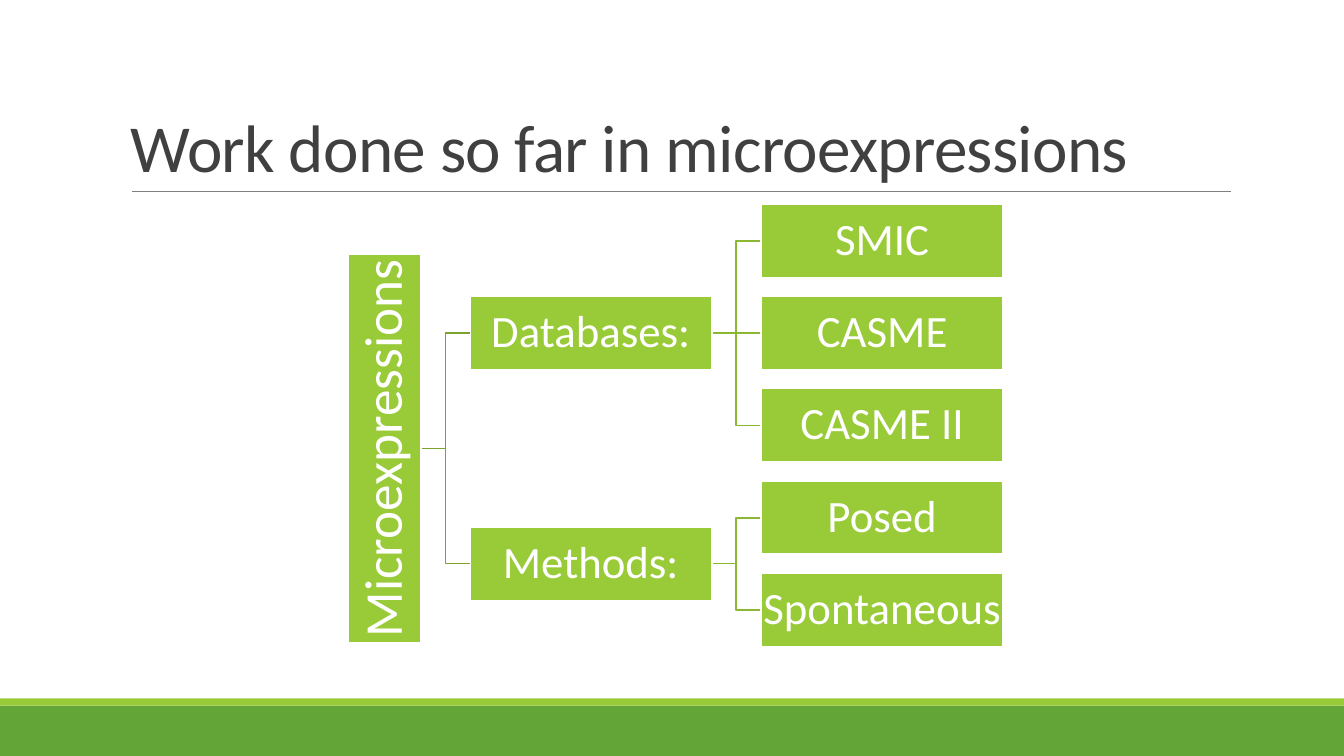
import pptx
import pptx.dml.color
import pptx.enum.shapes
import pptx.enum.text
import pptx.oxml
import pptx.oxml.ns
import pptx.util

PX = 9144
FONT = "Calibri"
COLORS = {
    "band": "63A537",
    "box": "99CB38",
    "rule": "808080",
    "title": "404040",
    "white": "FFFFFF",
    "root_link": "7BA32D",
    "leaf_link": "8BB833",
}
TREE = {
    "Databases:": ["SMIC", "CASME", "CASME II"],
    "Methods:": ["Posed", "Spontaneous"],
}
ROOT_LENGTH, BRANCH_WIDTH, BOX_HEIGHT = 386, 240, 73
ROOT_RIGHT, BRANCH_LEFT, LEAF_LEFT = 418, 466, 755
FIRST_LEAF_MIDDLE, LEAF_PITCH = 239, 91.5


def px(length):
    """Turn px into EMU."""
    return pptx.util.Emu(round(length * PX))


def color(name):
    """Return a named colour."""
    return pptx.dml.color.RGBColor.from_string(COLORS[name])


def write(shape, text, size, color_name, spacing):
    """Put one formatted paragraph into a shape."""
    shape.text_frame.text = text
    paragraph = shape.text_frame.paragraphs[0]
    paragraph.line_spacing = spacing
    font = paragraph.runs[0].font
    font.name, font.size = FONT, pptx.util.Pt(size)
    font.color.rgb = color(color_name)
    return paragraph


def add_rectangle(slide, left, top, width, height, fill):
    """Add a filled rectangle without an outline."""
    shape = slide.shapes.add_shape(
        pptx.enum.shapes.MSO_SHAPE.RECTANGLE, px(left), px(top), px(width), px(height))
    shape.shadow.inherit = False
    shape.fill.solid()
    shape.fill.fore_color.rgb = color(fill)
    shape.line.fill.background()
    return shape


def add_box(slide, text, left, middle, width, size, rotation=0):
    """Add a labelled tree box centred on a height."""
    shape = add_rectangle(slide, left, middle - BOX_HEIGHT / 2, width, BOX_HEIGHT, "box")
    shape.rotation = rotation
    shape.line.color.rgb = color("white")
    shape.line.width = pptx.util.Pt(1.25)
    frame = shape.text_frame
    frame.margin_left = frame.margin_right = frame.margin_top = frame.margin_bottom = px(2)
    frame.vertical_anchor = pptx.enum.text.MSO_ANCHOR.MIDDLE
    paragraph = write(shape, text, size, "white", 0.9)
    paragraph.alignment = pptx.enum.text.PP_ALIGN.CENTER
    frame.word_wrap = False


def add_line(slide, start, end, color_name, width):
    """Add a straight line."""
    line = slide.shapes.add_connector(
        pptx.enum.shapes.MSO_CONNECTOR.STRAIGHT, *map(px, start + end))
    line.line.color.rgb = color(color_name)
    line.line.width = pptx.util.Pt(width)
    properties = line._element.spPr
    properties.append(pptx.oxml.parse_xml(
        f'<a:effectLst {pptx.oxml.ns.nsdecls("a")}/>'))


def add_link(slide, start, end, color_name):
    """Join two boxes with a straight or stepped line."""
    if start[1] == end[1]:
        add_line(slide, start, end, color_name, 1.25)
        return
    bend = (start[0] + end[0]) / 2
    builder = slide.shapes.build_freeform(*start, scale=PX)
    builder.add_line_segments([(bend, start[1]), (bend, end[1]), end], close=False)
    shape = builder.convert_to_shape()
    shape.shadow.inherit = False
    shape.fill.background()
    shape.line.color.rgb = color(color_name)
    shape.line.width = pptx.util.Pt(1.25)


def add_title(slide, text):
    """Add the slide title and the rule under it."""
    add_line(slide, (131, 190), (1221, 190), "rule", 0.5)
    box = slide.shapes.add_textbox(px(120), px(31), px(1100), px(159))
    box.text_frame.word_wrap = True
    box.text_frame.vertical_anchor = pptx.enum.text.MSO_ANCHOR.BOTTOM
    paragraph = write(box, text, 48, "title", 0.85)
    paragraph.runs[0]._r.get_or_add_rPr().set("spc", "-50")


def add_tree(slide, root, branches):
    """Add the boxes and links, each parent centred on its children."""
    leaf_count = 0
    branch_middles = []
    for branch, leaves in branches.items():
        middles = [FIRST_LEAF_MIDDLE + LEAF_PITCH * (leaf_count + index)
                   for index in range(len(leaves))]
        leaf_count += len(leaves)
        middle = (middles[0] + middles[-1]) / 2
        branch_middles.append(middle)
        for leaf, leaf_middle in zip(leaves, middles):
            add_link(slide, (BRANCH_LEFT + BRANCH_WIDTH, middle),
                     (LEAF_LEFT, leaf_middle), "leaf_link")
            add_box(slide, leaf, LEAF_LEFT, leaf_middle, BRANCH_WIDTH, 32)
        add_box(slide, branch, BRANCH_LEFT, middle, BRANCH_WIDTH, 32)
    root_middle = sum(branch_middles) / len(branch_middles)
    for middle in branch_middles:
        add_link(slide, (ROOT_RIGHT, root_middle), (BRANCH_LEFT, middle), "root_link")
    root_left = ROOT_RIGHT - (BOX_HEIGHT + ROOT_LENGTH) / 2
    add_box(slide, root, root_left, root_middle, ROOT_LENGTH, 38, 270)


def main():
    """Build and save the slide."""
    presentation = pptx.Presentation()
    presentation.slide_width, presentation.slide_height = px(1333), px(750)
    slide = presentation.slides.add_slide(presentation.slide_layouts[6])
    add_rectangle(slide, 0, 700, 1333, 50, "band")
    add_rectangle(slide, 0, 693, 1333, 7, "box")
    add_title(slide, "Work done so far in microexpressions")
    add_tree(slide, "Microexpressions", TREE)
    presentation.save("out.pptx")


if __name__ == "__main__":
    main()
